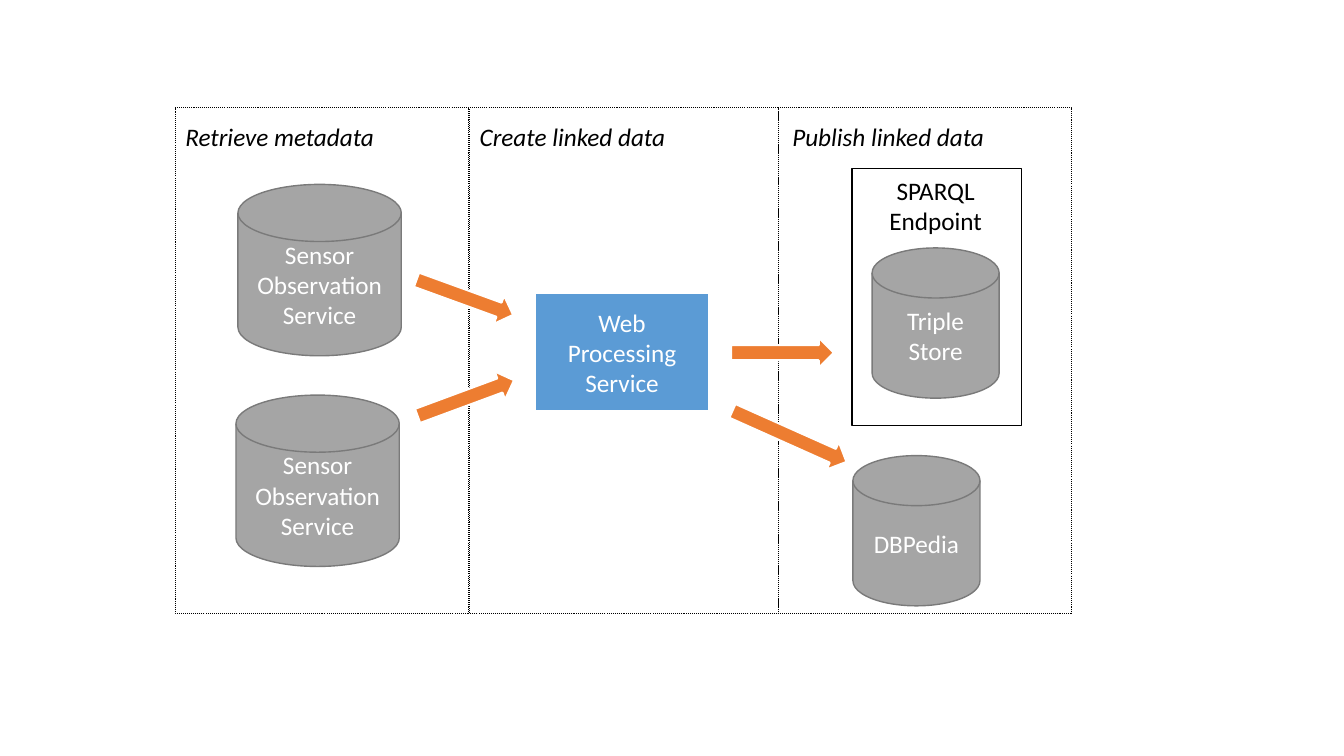
import dataclasses

import pptx
import pptx.dml.color
import pptx.enum.dml
import pptx.enum.shapes
import pptx.enum.text
import pptx.util

SHAPE = pptx.enum.shapes.MSO_SHAPE
ALIGN = pptx.enum.text.PP_ALIGN
ANCHOR = pptx.enum.text.MSO_ANCHOR


@dataclasses.dataclass(frozen=True)
class Theme:
    font: str = "Calibri"
    text_size: int = 18
    black: str = "000000"
    white: str = "FFFFFF"
    store: str = "A5A5A5"
    store_edge: str = "7A7A7A"
    process: str = "5B9BD5"
    flow: str = "ED7D31"
    cell: float = 0.1


class Diagram:
    def __init__(self, page, theme):
        self.page = page
        self.theme = theme

    def place(self, column, row, columns, rows):
        return [pptx.util.Inches(cells * self.theme.cell)
                for cells in (column, row, columns, rows)]

    def colour(self, name):
        return pptx.dml.color.RGBColor.from_string(name)

    def set_text(self, box, text, colour, align, anchor, italic=False):
        frame = box.text_frame
        frame.word_wrap = True
        frame.vertical_anchor = anchor
        frame.text = text
        for para in frame.paragraphs:
            para.alignment = align
            para.font.name = self.theme.font
            para.font.size = pptx.util.Pt(self.theme.text_size)
            para.font.italic = italic
            para.font.color.rgb = self.colour(colour)

    def shape(self, kind, area, fill, edge, weight):
        box = self.page.shapes.add_shape(kind, *self.place(*area))
        box.shadow.inherit = False
        if fill:
            box.fill.solid()
            box.fill.fore_color.rgb = self.colour(fill)
        else:
            box.fill.background()
        box.line.color.rgb = self.colour(edge)
        box.line.width = pptx.util.Pt(weight)
        return box

    def stage(self, title, column, columns, title_column):
        panel = self.shape(SHAPE.RECTANGLE, (column, 10.7, columns, 50.2),
                           None, self.theme.black, 0.75)
        panel.line.dash_style = pptx.enum.dml.MSO_LINE.ROUND_DOT
        heading = self.page.shapes.add_textbox(
            *self.place(title_column, 11.5, 25.3, 4))
        self.set_text(heading, title, self.theme.black, ALIGN.LEFT, ANCHOR.TOP,
                      italic=True)

    def store(self, text, column, row, columns, rows):
        disk = self.shape(SHAPE.FLOWCHART_MAGNETIC_DISK,
                          (column, row, columns, rows),
                          self.theme.store, self.theme.store_edge, 1)
        self.set_text(disk, text, self.theme.white, ALIGN.CENTER, ANCHOR.MIDDLE)

    def process(self, text, *area):
        box = self.shape(SHAPE.RECTANGLE, area, self.theme.process,
                         self.theme.white, 1.5)
        self.set_text(box, text, self.theme.white, ALIGN.CENTER, ANCHOR.MIDDLE)

    def endpoint(self, text):
        label = self.shape(SHAPE.RECTANGLE, (83.7, 16.9, 18.2, 7.1),
                           self.theme.white, self.theme.white, 1)
        self.set_text(label, text, self.theme.black, ALIGN.CENTER, ANCHOR.TOP)
        self.shape(SHAPE.RECTANGLE, (84.5, 16.7, 16.8, 25.5),
                   None, self.theme.black, 1)

    def flow(self, column, row, columns, angle):
        arrow = self.shape(SHAPE.RIGHT_ARROW, (column, row, columns, 3),
                           self.theme.flow, self.theme.white, 1.5)
        arrow.rotation = angle


def main():
    deck = pptx.Presentation()
    deck.slide_width = pptx.util.Inches(13.33)
    deck.slide_height = pptx.util.Inches(7.5)
    page = deck.slides.add_slide(deck.slide_layouts[6])
    diagram = Diagram(page, Theme())

    for stage in (("Retrieve metadata", 17.4, 29.1, 17.4),
                  ("Create linked data", 46.6, 30.6, 46.6),
                  ("Publish linked data", 77.2, 29.1, 77.6)):
        diagram.stage(*stage)

    diagram.endpoint("SPARQL Endpoint")
    for column, row in ((23.6, 18.3), (23.4, 39.2)):
        diagram.store("Sensor Observation\nService", column, row, 16.2, 17)
    for text, column, row in (("Triple Store", 86.5, 24.6),
                              ("DBPedia", 84.6, 45.2)):
        diagram.store(text, column, row, 12.6, 14.9)
    diagram.process("Web Processing Service", 53.1, 29.1, 17.2, 11.7)

    for flow in ((41, 28, 10.2, 20), (41.1, 38, 10.2, 339.7),
                 (72.5, 33.5, 10.2, 0), (72.1, 41.8, 12.4, 24.1)):
        diagram.flow(*flow)

    deck.save("out.pptx")


if __name__ == "__main__":
    main()
